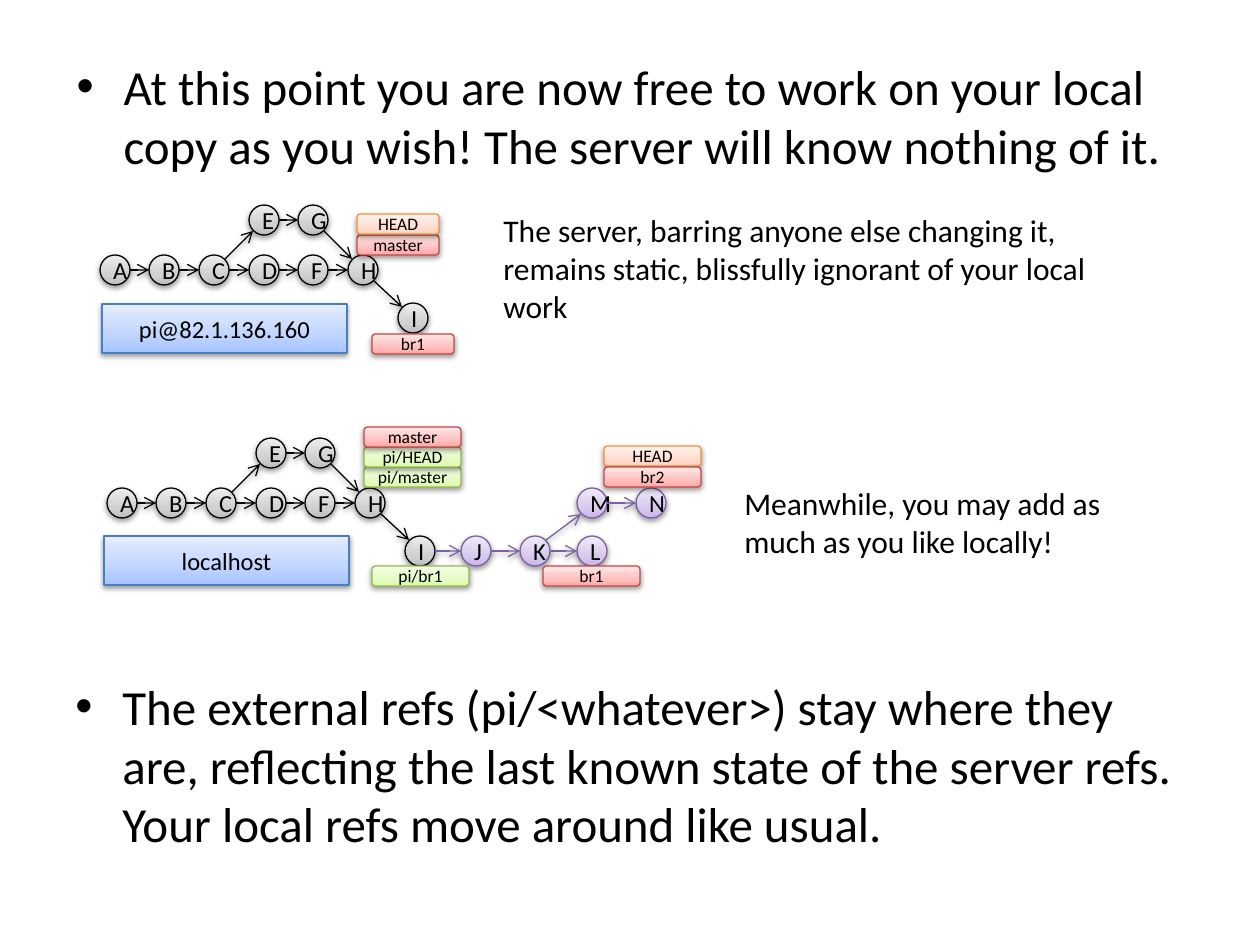
from dataclasses import dataclass

from lxml import etree
from pptx import Presentation
from pptx.dml.color import RGBColor
from pptx.enum.shapes import MSO_CONNECTOR, MSO_SHAPE
from pptx.enum.text import MSO_ANCHOR, MSO_AUTO_SIZE, PP_ALIGN
from pptx.oxml import parse_xml
from pptx.oxml.ns import nsdecls, qn
from pptx.util import Emu, Pt

OVAL, RECT, ROUND = MSO_SHAPE.OVAL, MSO_SHAPE.RECTANGLE, MSO_SHAPE.ROUNDED_RECTANGLE
STRAIGHT = MSO_CONNECTOR.STRAIGHT
TOP, MIDDLE = MSO_ANCHOR.TOP, MSO_ANCHOR.MIDDLE
LEFT, CENTER = PP_ALIGN.LEFT, PP_ALIGN.CENTER
NO_FIT, GROW = MSO_AUTO_SIZE.NONE, MSO_AUTO_SIZE.SHAPE_TO_FIT_TEXT

BLACK = RGBColor(0x00, 0x00, 0x00)
WHITE = RGBColor(0xFF, 0xFF, 0xFF)
FONT = "Calibri"
SCALE = 914400 / 126  # EMU in one px
DOT = 30  # width of a commit circle
DIAG = 11  # reach of its edge along x and y at 45 degrees
TAG_H = 20


@dataclass(frozen=True)
class Tint:
    """Gradient from bottom to top, with the outline colour."""
    low: RGBColor
    mid: RGBColor
    high: RGBColor
    edge: RGBColor


def tint(low: str, mid: str, high: str, edge: str) -> Tint:
    return Tint(*map(RGBColor.from_string, (low, mid, high, edge)))


GRAY = tint("BDBDBD", "D1D1D1", "EEEEEE", "000000")
PURPLE = tint("C9B5E8", "D8CBEE", "F0EAF9", "7D60A0")
GREEN = tint("DAFDA7", "E4FCC2", "F5FFE7", "98B955")
RED = tint("FFA6A5", "FFC0BF", "FFE7E7", "BF4C48")
ORANGE = tint("FFD2BD", "FFDED0", "FFF2ED", "F69240")
BLUE = tint("A4C4FF", "BFD4FF", "E6EEFF", "4B7EBC")


@dataclass(frozen=True)
class Box:
    x: int
    y: int
    w: int
    h: int


@dataclass(frozen=True)
class Tag:
    text: str
    x: int
    y: int
    tint: Tint


@dataclass(frozen=True)
class Graph:
    """Commits and refs of one repository; x and y place commit A."""
    x: int
    y: int
    dots: dict[str, tuple[int, int]]
    links: str
    tag_w: int
    tags: tuple[Tag, ...]
    host: str
    base: Box


def col(num: int) -> int:
    return 149 * num // 3


UP, DOWN = -50, 48
SHARED = {
    "A": (col(0), 0), "B": (col(1), 0), "C": (col(2), 0),
    "E": (col(3), UP), "D": (col(3), 0), "F": (col(4), 0),
    "G": (col(4), UP), "H": (col(5), 0), "I": (col(6), DOWN),
}
ADDED = {"J": (354, DOWN), "K": (413, DOWN), "L": (470, DOWN),
         "M": (470, 0), "N": (529, 0)}
LINKS = "AB BC CD DF CE EG GH FH HI"

SERVER = Graph(
    100, 255, SHARED, LINKS, 82,
    (Tag("master", 357, 235, RED), Tag("br1", 372, 334, RED),
     Tag("HEAD", 357, 214, ORANGE)),
    "pi@82.1.136.160", Box(102, 304, 245, 49))
LOCAL = Graph(
    107, 488, SHARED | ADDED, LINKS + " IJ JK KL KM MN", 97,
    (Tag("pi/master", 364, 467, GREEN), Tag("pi/HEAD", 364, 447, GREEN),
     Tag("pi/br1", 372, 566, GREEN), Tag("master", 364, 427, RED),
     Tag("HEAD", 604, 446, ORANGE), Tag("br1", 543, 566, RED),
     Tag("br2", 604, 467, RED)),
    "localhost", Box(104, 536, 245, 49))


def px(num: int) -> Emu:
    return Emu(round(num * SCALE))


def spot(box: Box) -> tuple[Emu, ...]:
    return px(box.x), px(box.y), px(box.w), px(box.h)


def put(shape, text: str, *, size: int, align=LEFT, anchor=TOP, fit=NO_FIT,
        bullet: bool = False) -> None:
    frame = shape.text_frame
    frame.word_wrap = True
    frame.auto_size = fit
    frame.vertical_anchor = anchor
    para = frame.paragraphs[0]
    para.alignment = align
    run = para.add_run()
    run.text = text
    run.font.name, run.font.size = FONT, Pt(size)
    run.font.color.rgb = BLACK
    if bullet:
        para.space_before = Pt(size * 0.2)
        props = para._p.get_or_add_pPr()
        props.set("marL", str(px(47)))
        props.set("indent", str(-px(47)))
        etree.SubElement(props, qn("a:buFont")).set("typeface", "Arial")
        etree.SubElement(props, qn("a:buChar")).set("char", "•")


def shade(props) -> None:
    """Append a soft drop shadow to shape properties."""
    props.append(parse_xml(
        f'<a:effectLst {nsdecls("a")}><a:outerShdw blurRad="{Pt(3.1)}" '
        f'dist="{Pt(1.6)}" dir="5400000" rotWithShape="0"><a:srgbClr val="{BLACK}">'
        '<a:alpha val="38000"/></a:srgbClr></a:outerShdw></a:effectLst>'))


def block(shapes, kind, box: Box, look: Tint, text: str, size: int) -> None:
    shape = shapes.add_shape(kind, *spot(box))
    shape.fill.gradient()
    shape.fill.gradient_angle = 90
    stops = shape._element.spPr.find(qn("a:gradFill")).find(qn("a:gsLst"))
    for stop in list(stops):
        stops.remove(stop)
    for pos, color in ((0, look.low), (35, look.mid), (100, look.high)):
        stop = etree.SubElement(stops, qn("a:gs"), pos=str(pos * 1000))
        etree.SubElement(stop, qn("a:srgbClr"), val=str(color))
    shape.line.color.rgb = look.edge
    shape.line.width = Pt(0.75)
    shade(shape._element.spPr)
    put(shape, text, size=size, align=CENTER, anchor=MIDDLE)


def link(shapes, start: tuple[int, int], end: tuple[int, int], color: RGBColor) -> None:
    """Draw an arrow between the edges of two circles, given their centres."""
    (x1, y1), (x2, y2) = start, end
    side = (y2 > y1) - (y2 < y1)
    gap = DIAG if side else DOT // 2
    rise = DIAG * side
    line = shapes.add_connector(
        STRAIGHT, px(x1 + gap), px(y1 + rise), px(x2 - gap), px(y2 - rise))
    line.line.color.rgb = color
    line.line.width = Pt(0.75)
    etree.SubElement(line.line._get_or_add_ln(), qn("a:tailEnd"), type="arrow")
    shade(line._element.spPr)


def draw(shapes, graph: Graph) -> None:
    mid = {}
    for name, (x, y) in graph.dots.items():
        box = Box(graph.x + x, graph.y + y, DOT, DOT)
        mid[name] = box.x + DOT // 2, box.y + DOT // 2
        block(shapes, OVAL, box, PURPLE if name in ADDED else GRAY, name, 14)
    for start, end in graph.links.split():
        color = PURPLE.edge if end in ADDED else BLACK
        link(shapes, mid[start], mid[end], color)
    for tag in graph.tags:
        block(shapes, ROUND, Box(tag.x, tag.y, graph.tag_w, TAG_H), tag.tint, tag.text, 10)
    block(shapes, RECT, graph.base, BLUE, graph.host, 14)


def note(shapes, box: Box, text: str) -> None:
    shape = shapes.add_textbox(*spot(box))
    shape.fill.solid()
    shape.fill.fore_color.rgb = WHITE
    put(shape, text, size=18, fit=GROW)


def main() -> None:
    deck = Presentation()
    deck.slide_width, deck.slide_height = px(1260), px(945)
    slide = deck.slides.add_slide(deck.slide_layouts[1])
    shapes = slide.shapes
    title = shapes.title._element
    title.getparent().remove(title)

    body = slide.placeholders[1]
    body.left, body.top, body.width, body.height = spot(Box(64, 50, 1134, 124))
    put(body, "At this point you are now free to work on your local copy as you wish! "
        "The server will know nothing of it.", size=28, bullet=True)
    draw(shapes, LOCAL)
    draw(shapes.add_group_shape().shapes, SERVER)
    refs = shapes.add_textbox(*spot(Box(63, 670, 1134, 248)))
    put(refs, "The external refs (pi/<whatever>) stay where they are, reflecting the last "
        "known state of the server refs. Your local refs move around like usual.",
        size=28, bullet=True)
    note(shapes, Box(491, 205, 674, 127), "The server, barring anyone else changing it, "
         "remains static, blissfully ignorant of your local work")
    note(shapes, Box(732, 478, 417, 89), "Meanwhile, you may add as much as you like locally!")
    deck.save("out.pptx")


if __name__ == "__main__":
    main()
